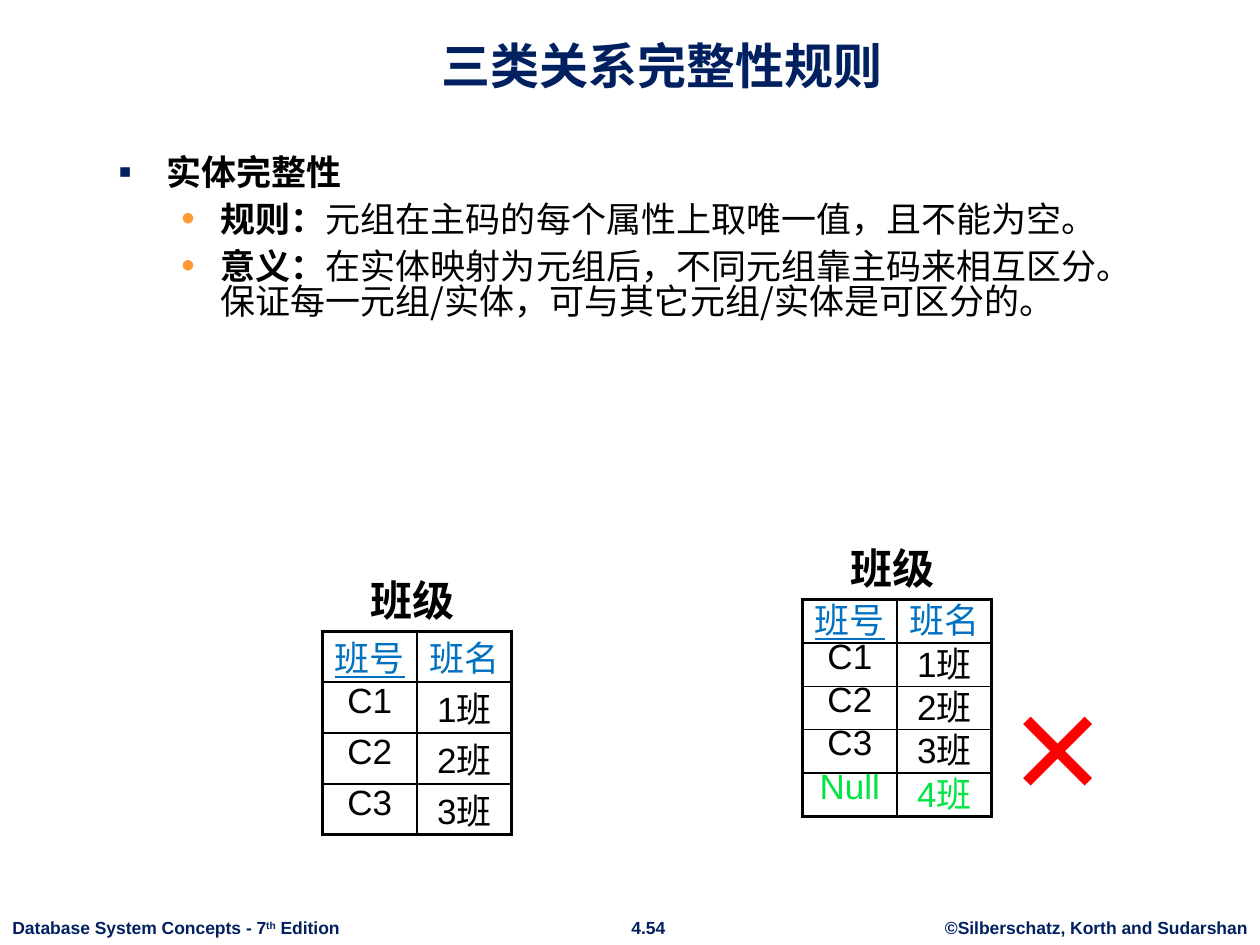
from lxml.etree import SubElement as Sub
from pptx import Presentation
from pptx.dml.color import RGBColor as Rgb
from pptx.enum.text import MSO_ANCHOR as Anchor, MSO_AUTO_SIZE as Auto, PP_ALIGN as Align
from pptx.oxml.ns import qn
from pptx.util import Inches as In, Pt

HUES = {"navy": "002060", "black": "000000", "white": "FFFFFF", "blue": "0070C0",
        "orange": "FF9933", "green": "00E444", "red": "FF0000"}
CJK = "Noto Sans CJK SC"
TITLE = "三类关系完整性规则"
POINTS = [
    (0, [("实体完整性", True)]),
    (1, [("规则：", True), ("元组在主码的每个属性上取唯一值，且不能为空。", False)]),
    (1, [("意义：", True),
         ("在实体映射为元组后，不同元组靠主码来相互区分。"
          "保证每一元组/实体，可与其它元组/实体是可区分的。", False)]),
]
MARKS = [("▪", "navy", 0.38, -0.38), ("•", "orange", 0.81, -0.31)]
HEAD = ("班号", "班名")
ROWS = [("C1", "1班"), ("C2", "2班"), ("C3", "3班")]
LABEL = "班级"
TABLES = [
    (2.56, 5.01, 0.37, 1, [HEAD, *ROWS]),
    (6.37, 4.76, 0.344, 0.84, [HEAD, *ROWS, ("Null", "4班")]),
]
COL = 0.75
FOOT = [
    (7.4, 2.6, Align.CENTER, [("©Silberschatz, Korth and Sudarshan", 0)]),
    (4.9, 0.49, Align.CENTER, [("4.54", 0)]),
    (0, 2.81, Align.LEFT,
     [("Database System Concepts - 7", 0), ("th", 30), (" Edition", 0)]),
]


def write(para, text, size=20, font="Arial", hue="black", bold=False,
          under=False, ea=None, base=0):
    run = para.add_run()
    run.text = text
    face = run.font
    face.size, face.name, face.bold, face.underline = Pt(size), font, bold, under
    face.color.rgb = Rgb.from_string(HUES[hue])
    props = run._r.get_or_add_rPr()
    if base:
        props.set("baseline", str(base * 1000))
    if ea:
        Sub(props, qn("a:ea"), typeface=ea)


def place(shape, left, top, width, height):
    shape.left, shape.top = In(left), In(top)
    shape.width, shape.height = In(width), In(height)
    shape.text_frame.auto_size = Auto.NONE
    return shape.text_frame


def box(slide, left, top, width, height, wrap=True):
    shape = slide.shapes.add_textbox(0, 0, 0, 0)
    frame = place(shape, left, top, width, height)
    frame.word_wrap = wrap
    return frame


def bullet(para, level):
    mark, hue, left, hang = MARKS[level]
    props = para._p.get_or_add_pPr()
    props.set("marL", str(In(left)))
    props.set("indent", str(In(hang)))
    Sub(Sub(props, qn("a:buClr")), qn("a:srgbClr"), val=HUES[hue])
    Sub(props, qn("a:buSzPct"), val="110000")
    Sub(props, qn("a:buFont"), typeface="Arial")
    Sub(props, qn("a:buChar"), char=mark)


def border(cell, thick):
    props = cell._tc.get_or_add_tcPr()
    for spot, (side, wide) in enumerate(thick.items()):
        line = props.makeelement(qn("a:ln" + side), {"w": str(Pt(wide))})
        Sub(Sub(line, qn("a:solidFill")), qn("a:srgbClr"), val=HUES["black"])
        props.insert(spot, line)


def grid(slide, left, top, high, space, rows):
    last, cols = len(rows) - 1, len(HEAD)
    table = slide.shapes.add_table(len(rows), cols, In(left), In(top),
                                   In(COL * cols), In(high * len(rows))).table
    table.first_row = table.horz_banding = False
    for col in table.columns:
        col.width = In(COL)
    for r, row in enumerate(rows):
        table.rows[r].height = In(high)
        hue = "blue" if r == 0 else "green" if row[0] == "Null" else "black"
        for c, text in enumerate(row):
            cell = table.cell(r, c)
            cell.margin_left = cell.margin_right = 0
            cell.margin_top = cell.margin_bottom = 0
            cell.fill.solid()
            cell.fill.fore_color.rgb = Rgb.from_string(HUES["white"])
            para = cell.text_frame.paragraphs[0]
            para.alignment = Align.CENTER
            para.line_spacing = space
            write(para, text, hue=hue, under=r == c == 0)
            edge = {"L": c == 0, "R": c == cols - 1, "T": r == 0, "B": r == last}
            border(cell, {side: 2.25 if out else 1 for side, out in edge.items()})


def main():
    deck = Presentation()
    deck.slide_width, deck.slide_height = In(10), In(7.5)
    slide = deck.slides.add_slide(deck.slide_layouts[1])

    for left, width, side, parts in FOOT:
        para = box(slide, left, 7.23, width, 0.27, wrap=False).paragraphs[0]
        para.alignment = side
        for text, base in parts:
            write(para, text, size=10, hue="navy", bold=True, base=base)

    frame = place(slide.shapes.title, 0.84, 0.13, 8.83, 0.67)
    frame.vertical_anchor = Anchor.BOTTOM
    para = frame.paragraphs[0]
    para.alignment = Align.CENTER
    write(para, TITLE, size=28, hue="navy", bold=True, ea="Arial")

    frame = place(slide.placeholders[1], 0.84, 1.2, 8.43, 5.36)
    for n, (level, parts) in enumerate(POINTS):
        para = frame.add_paragraph() if n else frame.paragraphs[0]
        para.level = level
        para.line_spacing = 0.83
        para.space_before = Pt(7 if n else 0)
        bullet(para, level)
        for text, bold in parts:
            write(para, text, font=CJK, bold=bold, ea=CJK)

    for left, top, high, space, rows in TABLES:
        grid(slide, left, top, high, space, rows)
        para = box(slide, left + 0.28, top - 0.5, 0.92, 0.5).paragraphs[0]
        write(para, LABEL, size=24, font="Karla", bold=True, ea="Karla")

    frame = box(slide, 7.98, 5.51, 1.22, 1.1)
    frame.margin_left = frame.margin_right = 0
    para = frame.paragraphs[0]
    para.line_spacing = 0.9
    write(para, "×", size=60, font=CJK, hue="red", bold=True, ea=CJK)

    deck.save("out.pptx")


if __name__ == "__main__":
    main()
